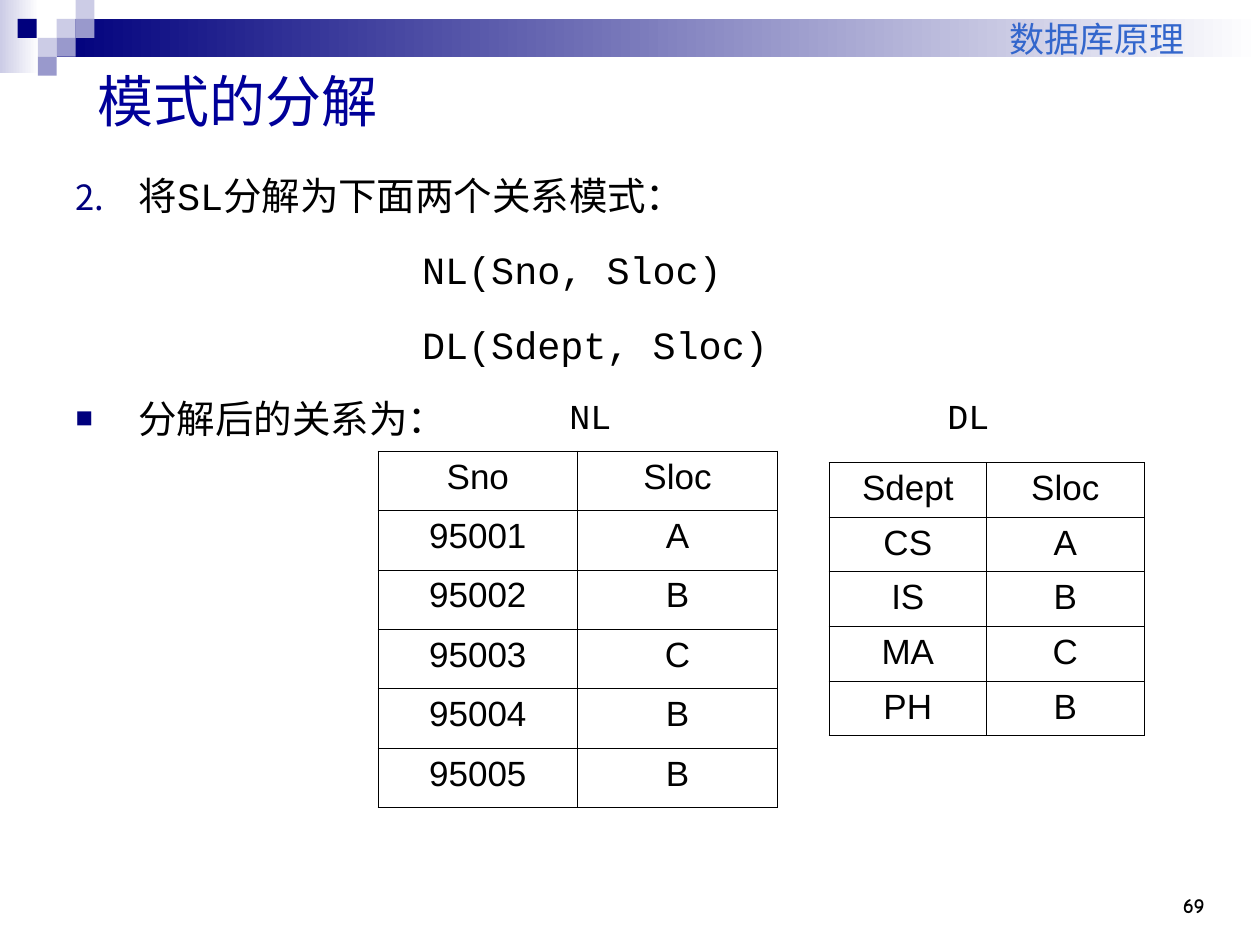
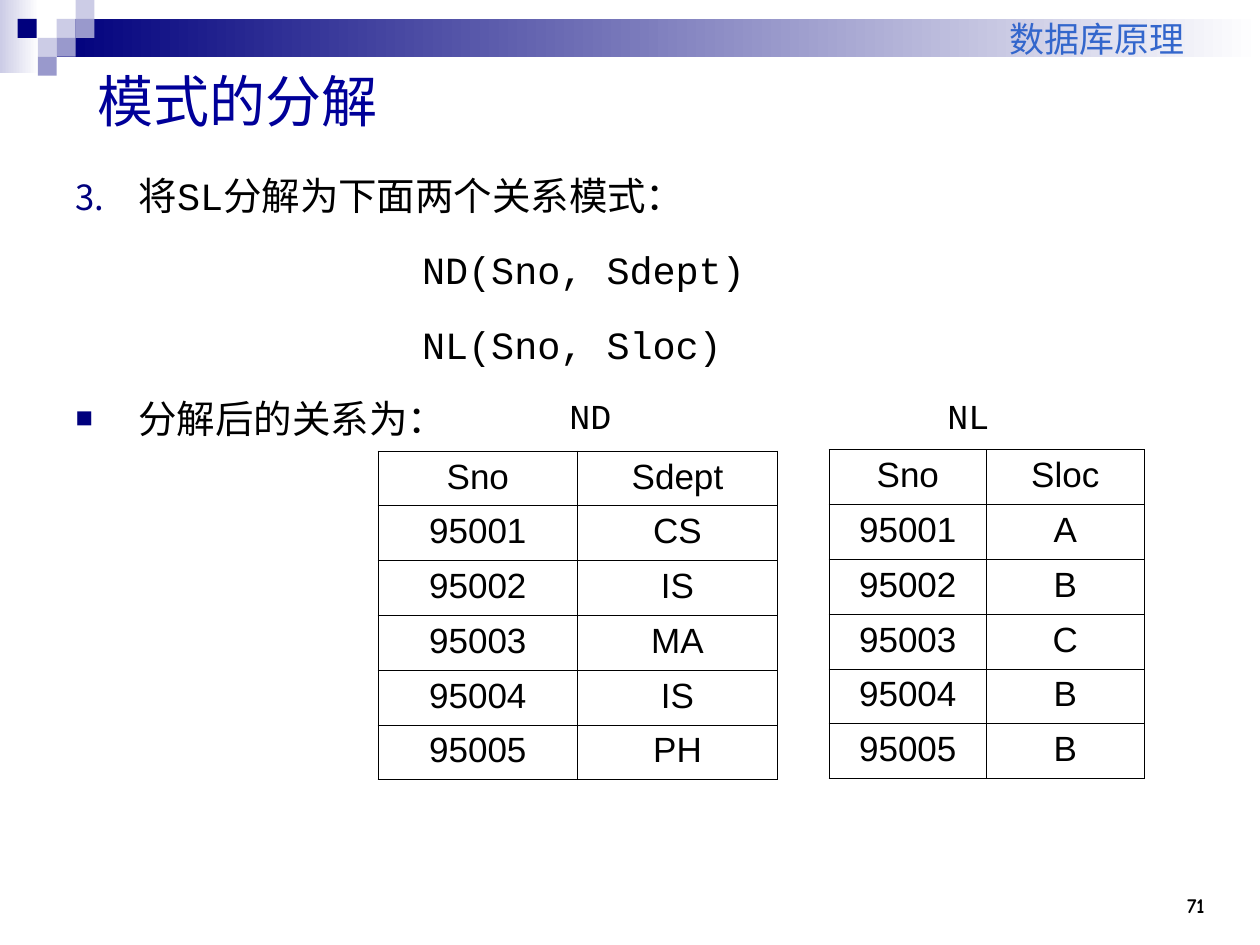
from lxml import etree
from pptx import Presentation
from pptx.dml.color import RGBColor
from pptx.enum.shapes import MSO_SHAPE
from pptx.enum.text import MSO_ANCHOR, MSO_AUTO_SIZE, PP_ALIGN
from pptx.oxml.ns import qn
from pptx.util import Inches, Pt

RECTANGLE = MSO_SHAPE.RECTANGLE
LEFT, CENTER, RIGHT = PP_ALIGN.LEFT, PP_ALIGN.CENTER, PP_ALIGN.RIGHT
MIDDLE, BOTTOM = MSO_ANCHOR.MIDDLE, MSO_ANCHOR.BOTTOM
NO_AUTOFIT = MSO_AUTO_SIZE.NONE

NAVY, LILAC, PALE, WHITE = "00007D", "9999CC", "CCCCE6", "FFFFFF"
TITLE_BLUE, COURSE_BLUE, BLACK = "000099", "3366CC", "000000"
HEADING_FONT, CODE_FONT, TABLE_FONT = "Comic Neue", "Courier New", "Arial"

MOSAIC = [
    (0.45, 0.15, PALE), (0.6, 0, PALE), (0.6, 0.15, LILAC),
    (0.3, 0.3, PALE), (0.14, 0.15, NAVY), (0.45, 0.3, LILAC),
    (0.3, 0.45, LILAC),
]
SNO_SLOC = [("Sno", "Sloc"), ("95001", "A"), ("95002", "B"),
            ("95003", "C"), ("95004", "B"), ("95005", "B")]
SDEPT_SLOC = [("Sdept", "Sloc"), ("CS", "A"), ("IS", "B"),
              ("MA", "C"), ("PH", "B")]
SNO_SDEPT = [("Sno", "Sdept"), ("95001", "CS"), ("95002", "IS"),
             ("95003", "MA"), ("95004", "IS"), ("95005", "PH")]

DECOMPOSITIONS = [
    {"page": "69", "number": 2,
     "schemas": ["NL(Sno, Sloc)", "DL(Sdept, Sloc)"], "names": ["NL", "DL"],
     "relations": [((3, 3.58, 3.17, 2.83), SNO_SLOC),
                   ((6.58, 3.67, 2.5, 2.17), SDEPT_SLOC)]},
    {"page": "71", "number": 3,
     "schemas": ["ND(Sno, Sdept)", "NL(Sno, Sloc)"], "names": ["ND", "NL"],
     "relations": [((3, 3.58, 3.17, 2.61), SNO_SDEPT),
                   ((6.58, 3.57, 2.5, 2.61), SNO_SLOC)]},
]


def rgb(color):
    """Turn a hex string into a colour."""
    return RGBColor.from_string(color)


def inches(box):
    """Turn a box of numbers into lengths."""
    return [Inches(length) for length in box]


def add_xml(parent, tag, **attributes):
    """Append a drawing element to a parent and return it."""
    return etree.SubElement(parent, qn(tag), attributes)


def add_run(paragraph, text, font, size, color, bold=False):
    """Add one formatted run to a paragraph."""
    run = paragraph.add_run()
    run.text = text
    run.font.name = font
    run.font.size = Pt(size)
    run.font.bold = bold
    run.font.color.rgb = rgb(color)


def add_block(slide, box, color, fade_to=None):
    """Draw a borderless block, plain or fading to the right."""
    block = slide.shapes.add_shape(RECTANGLE, *inches(box))
    block.shadow.inherit = False
    block.line.fill.background()
    if fade_to:
        block.fill.gradient()
        block.fill.gradient_angle = 0
        for stop, stop_color in zip(block.fill.gradient_stops, (color, fade_to)):
            stop.color.rgb = rgb(stop_color)
    else:
        block.fill.solid()
        block.fill.fore_color.rgb = rgb(color)


def add_band(slide):
    """Draw the fading band and the mosaic at the top."""
    add_block(slide, (0, 0, 0.31, 0.58), PALE, WHITE)
    add_block(slide, (0.45, 0.15, 9.55, 0.3), NAVY, WHITE)
    for left, top, color in MOSAIC:
        add_block(slide, (left, top, 0.15, 0.15), color)


def add_corner_text(slide, box, text, size, color, bold=False, margin=0.1):
    """Write a right-aligned line at the foot of a box."""
    corner = slide.shapes.add_textbox(*inches(box)).text_frame
    corner.word_wrap = True
    corner.vertical_anchor = BOTTOM
    corner.margin_right = Inches(margin)
    corner.paragraphs[0].alignment = RIGHT
    add_run(corner.paragraphs[0], text, HEADING_FONT, size, color, bold)


def place(placeholder, box):
    """Move a placeholder to a box and return its text frame."""
    placeholder.left, placeholder.top, placeholder.width, placeholder.height = inches(box)
    frame = placeholder.text_frame
    frame.auto_size = NO_AUTOFIT
    return frame


def fill_title(slide, box, text):
    """Write the slide title."""
    title = place(slide.shapes.title, box)
    title.vertical_anchor = MIDDLE
    title.paragraphs[0].alignment = LEFT
    add_run(title.paragraphs[0], text, HEADING_FONT, 32, TITLE_BLUE)


def set_bullet(paragraph, indent, size=None, tag="a:buNone", **marker):
    """Give a paragraph its indent and its marker, if any."""
    properties = paragraph._p.get_or_add_pPr()
    properties.set("marL", str(Inches(indent)))
    properties.set("indent", str(Inches(-0.5) if size else 0))
    if size:
        add_xml(add_xml(properties, "a:buClr"), "a:srgbClr", val=NAVY)
        add_xml(properties, "a:buSzPct", val=str(size * 1000))
    add_xml(properties, tag, **marker)


def fill_steps(slide, box, number, schemas):
    """Write the numbered step, its schemas and the lead-in to the tables."""
    body = place(slide.placeholders[1], box)
    numbered = {"indent": 0.5, "size": 90, "tag": "a:buAutoNum",
                "type": "arabicPeriod", "startAt": str(number)}
    square = {"indent": 0.5, "size": 75, "tag": "a:buChar", "char": "■"}
    steps = [("将SL分解为下面两个关系模式：", numbered)]
    steps += [(schema, {"indent": 2.75}) for schema in schemas]
    steps.append(("分解后的关系为：", square))
    for index, (text, bullet) in enumerate(steps):
        step = body.add_paragraph() if index else body.paragraphs[0]
        set_bullet(step, **bullet)
        step.line_spacing = 1.4
        step.space_before = Pt(5.5 if index else 0)
        add_run(step, text, CODE_FONT, 22, BLACK)


def add_relation_names(slide, box, names):
    """Write the relation names above their tables, parted by a tab stop."""
    captions = slide.shapes.add_textbox(*inches(box)).text_frame
    captions.word_wrap = False
    line = captions.paragraphs[0]
    stops = add_xml(line._p.get_or_add_pPr(), "a:tabLst")
    add_xml(stops, "a:tab", pos=str(Inches(3)), algn="l")
    add_run(line, "\t".join(names), CODE_FONT, 20, BLACK)


def add_borders(cell):
    """Draw thin black lines round a cell."""
    properties = cell._tc.get_or_add_tcPr()
    for side in ("a:lnL", "a:lnR", "a:lnT", "a:lnB"):
        border = add_xml(properties, side, w=str(Pt(0.45)))
        add_xml(add_xml(border, "a:solidFill"), "a:srgbClr", val=BLACK)


def add_relation(slide, box, rows):
    """Draw a relation as an evenly divided table."""
    table = slide.shapes.add_table(len(rows), len(rows[0]), *inches(box)).table
    table.first_row = table.horz_banding = False
    for row_index, values in enumerate(rows):
        table.rows[row_index].height = Inches(box[3] / len(rows))
        for column_index, value in enumerate(values):
            cell = table.cell(row_index, column_index)
            add_borders(cell)
            cell.fill.background()
            entry = cell.text_frame.paragraphs[0]
            entry.alignment = CENTER
            add_run(entry, value, TABLE_FONT, 20, BLACK)


def add_decomposition_slide(deck, page, number, schemas, names, relations):
    """Build one slide on a decomposition of SL."""
    slide = deck.slides.add_slide(deck.slide_layouts[1])
    add_band(slide)
    add_corner_text(slide, (8.83, 6.83, 0.83, 0.5), page, 12, BLACK, bold=True)
    add_corner_text(slide, (3.83, 0, 5.92, 0.52), "数据库原理", 20, COURSE_BLUE,
                    margin=0.35)
    fill_title(slide, (0.67, 0.42, 9, 0.75), "模式的分解")
    fill_steps(slide, (0.5, 1.17, 9.17, 5.83), number, schemas)
    add_relation_names(slide, (4.42, 3.08, 3.55, 0.44), names)
    for box, rows in relations:
        add_relation(slide, box, rows)


def main():
    """Build the deck and save it."""
    deck = Presentation()
    deck.slide_width, deck.slide_height = Inches(10), Inches(7.5)
    for decomposition in DECOMPOSITIONS:
        add_decomposition_slide(deck, **decomposition)
    deck.save("out.pptx")


if __name__ == "__main__":
    main()
